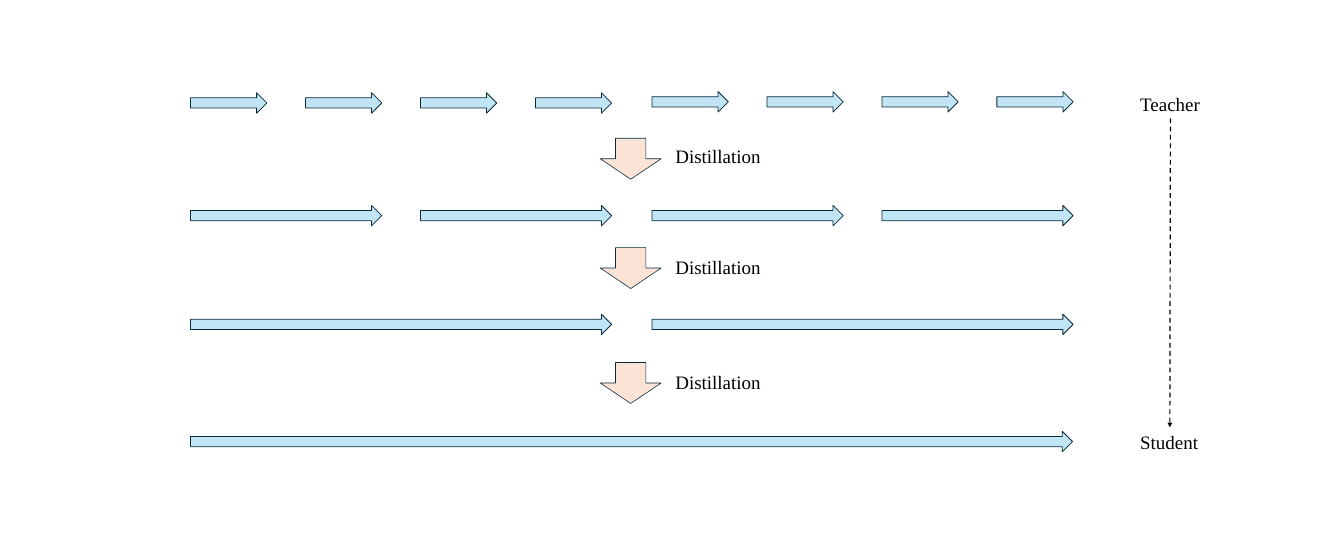
from pptx import Presentation
from pptx.dml.color import RGBColor
from pptx.enum.dml import MSO_LINE
from pptx.enum.shapes import MSO_CONNECTOR, MSO_SHAPE
from pptx.enum.text import MSO_AUTO_SIZE
from pptx.oxml.ns import qn
from pptx.util import Inches, Pt
from lxml import etree

COLORS = {"step": "C1E5F5", "distill": "FBE3D6", "outline": "092A39", "ink": "000000"}


def rgb(name):
    return RGBColor.from_string(COLORS[name])


class Diagram:
    font = "Times New Roman"
    size = 24

    def __init__(self, slide):
        self.shapes = slide.shapes

    def arrow(self, kind, x, y, w, h, fill, weight):
        s = self.shapes.add_shape(kind, Inches(x), Inches(y), Inches(w), Inches(h))
        s.shadow.inherit = False
        s.fill.solid()
        s.fill.fore_color.rgb = rgb(fill)
        s.line.color.rgb = rgb("outline")
        s.line.width = Pt(weight)

    def step(self, x, y, w):
        self.arrow(MSO_SHAPE.RIGHT_ARROW, x, y, w, 0.36, "step", 1)

    def label(self, text, x, y, w):
        tf = self.shapes.add_textbox(Inches(x), Inches(y), Inches(w), Inches(0.5)).text_frame
        tf.word_wrap = False
        tf.auto_size = MSO_AUTO_SIZE.SHAPE_TO_FIT_TEXT
        tf.text = text
        r = tf.paragraphs[0].runs[0]
        r.font.name = self.font
        r.font.size = Pt(self.size)
        r.font.color.rgb = rgb("ink")

    def distillation(self, arrow_y, label_y):
        self.arrow(MSO_SHAPE.DOWN_ARROW, 10.55, arrow_y, 1.07, 0.72, "distill", 0.75)
        self.label("Distillation", 11.77, label_y, 1.71)

    def dashed_arrow(self, x1, y1, x2, y2):
        c = self.shapes.add_connector(MSO_CONNECTOR.STRAIGHT, Inches(x1), Inches(y1),
                                      Inches(x2), Inches(y2))
        c.line.color.rgb = rgb("ink")
        c.line.width = Pt(1.5)
        c.line.dash_style = MSO_LINE.DASH
        etree.SubElement(c.line._get_or_add_ln(), qn("a:tailEnd"), type="triangle")
        etree.SubElement(c._element.spPr, qn("a:effectLst"))


def main():
    prs = Presentation()
    prs.slide_width, prs.slide_height = Inches(23.62), Inches(9.84)
    d = Diagram(prs.slides.add_slide(prs.slide_layouts[6]))

    # Sampling steps: each row merges pairs of the row above
    pitch, unit = 2.02, 1.34
    left, right = 3.35, 11.46
    rows = [(1, 1.63, 1.61), (2, 3.61, 3.61), (4, 5.52, 5.52)]
    for span, left_y, right_y in rows:
        for x, y in ((left, left_y), (right, right_y)):
            for i in range(0, 4, span):
                d.step(x + i * pitch, y, (span - 1) * pitch + unit)
    d.step(left, 7.58, 15.5)

    # Distillation between rows
    for arrow_y, label_y in ((2.43, 2.49), (4.35, 4.44), (6.37, 6.46)):
        d.distillation(arrow_y, label_y)

    # Teacher to student
    d.label("Teacher", 19.94, 1.57, 1.26)
    d.label("Student", 19.94, 7.51, 1.23)
    d.dashed_arrow(20.57, 2.08, 20.56, 7.51)

    prs.save("out.pptx")


if __name__ == "__main__":
    main()
